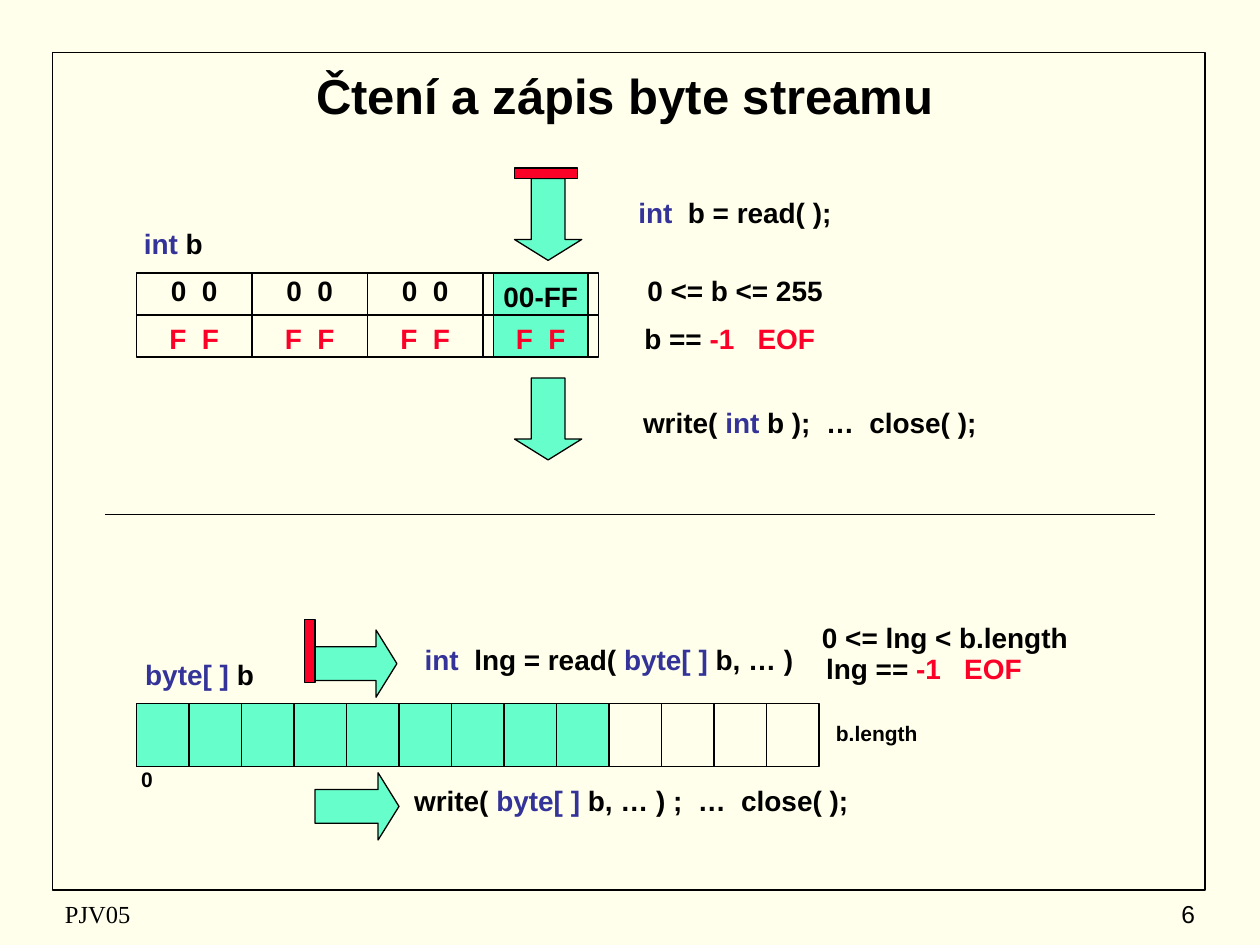
from pptx import Presentation
from pptx.dml.color import RGBColor
from pptx.enum.shapes import MSO_CONNECTOR, MSO_SHAPE
from pptx.enum.text import MSO_ANCHOR, MSO_AUTO_SIZE, PP_ALIGN
from pptx.oxml.ns import qn
from pptx.util import Inches, Pt

COLUMNS, ROWS = 120, 90
SLIDE_WIDTH, SLIDE_HEIGHT = Inches(10), Inches(7.5)

THEME = {
    "background": "FFFFEB",
    "ink": "000000",
    "keyword": "333399",
    "alert": "FC0128",
    "data": "66FFCC",
    "title": 28,
    "footer": 14,
    "code": 16,
    "small": 12,
    "line": 0.75,
    "frame": 1,
    "sans": "Arial",
    "serif": "Times New Roman",
}

FRAME = (5, 5, 109.8, 79.8)
DIVIDER = (10, 49, 110, 49)
REGISTER = {"left": 13, "top": 26, "cell": (11, 4), "count": 4, "rows": 2}
LOW_BYTE = {"left": 47, "width": 9}
ARRAY = {"left": 13, "top": 67, "cell": (5, 6), "count": 13, "filled": 9}

ARROWS = [
    ((49, 17, 6.4, 7.8), 0),
    ((49, 36, 6.4, 7.8), 0),
    ((30.7, 59.3, 6.4, 7.8), 270),
    ((30.8, 72.8, 6.4, 8), 270),
]
STREAM_ENDS = [(49, 16, 6, 1), (29, 59, 1, 6)]

BYTE_ROWS = [
    (25.5, "0  0", "ink", 3),
    (30, "F  F", "alert", 4),
]

CODE = [
    ((46, 26, 11), [("00-FF", "ink")]),
    ((12, 21, 9), [("int ", "keyword"), ("b", "ink")]),
    ((57, 25.5, 26), [("0 <= b <= 255", "ink")]),
    ((57, 30, 25), [("b == ", "ink"), ("-1   EOF", "alert")]),
    ((58, 18, 24), [("int ", "keyword"), (" b = read( );", "ink")]),
    ((58, 38, 39), [("write( ", "ink"), ("int ", "keyword"),
                    ("b );  …  close( ); ", "ink")]),
    ((11, 62, 16), [("byte[ ] ", "keyword"), ("b", "ink")]),
    ((39, 60.6, 38), [("int ", "keyword"), (" lng = read( ", "ink"),
                      ("byte[ ] ", "keyword"), ("b, … )", "ink")]),
    ((38, 74, 45), [("write( ", "ink"), ("byte[ ] ", "keyword"),
                    ("b, … ) ;  …  close( ); ", "ink")]),
    ((75, 58.5, 30), [("0 <= lng < b.length", "ink")]),
    ((76, 61.5, 24), [("lng == ", "ink"), ("-1   EOF", "alert")]),
]
INDEX_LABELS = [((12, 72.4, 4), "0"), ((76, 68, 15), "b.length")]

TITLE = ((6, 5, 107, 8), "Čtení a zápis byte streamu")
FOOTERS = [
    ((5, 85, 38, 4), "PJV05", "serif", PP_ALIGN.LEFT),
    ((90, 85, 25, 4), "6", "sans", PP_ALIGN.RIGHT),
]


def color(name):
    return RGBColor.from_string(THEME[name])


def place(box):
    units = (SLIDE_WIDTH / COLUMNS, SLIDE_HEIGHT / ROWS) * 2
    return [round(value * unit) for value, unit in zip(box, units)]


def apply(target, values):
    for name, value in values.items():
        setattr(target, name, value)


def add_shape(slide, kind, box, fill=None, weight="line"):
    shape = slide.shapes.add_shape(kind, *place(box))
    shape.shadow.inherit = False
    if fill:
        shape.fill.solid()
        shape.fill.fore_color.rgb = color(fill)
    else:
        shape.fill.background()
    shape.line.color.rgb = color("ink")
    shape.line.width = Pt(THEME[weight])
    return shape


def add_line(slide, *ends):
    line = slide.shapes.add_connector(MSO_CONNECTOR.STRAIGHT, *place(ends))
    properties = line._element.spPr
    line.line.color.rgb = color("ink")
    line.line.width = Pt(THEME["line"])
    properties.append(properties.makeelement(qn("a:effectLst"), {}))


def add_text(slide, box, runs, size="code", font="sans", bold=True,
             align=PP_ALIGN.CENTER, **frame_values):
    frame = slide.shapes.add_textbox(*place(box)).text_frame
    apply(frame, {"word_wrap": True, **frame_values})
    paragraph = frame.paragraphs[0]
    paragraph.alignment = align
    for text, tone in runs:
        run = paragraph.add_run()
        run.text = text
        apply(run.font, {"name": THEME[font], "size": Pt(THEME[size]), "bold": bold})
        run.font.color.rgb = color(tone)


def add_label(slide, box, runs, size="code"):
    height = 4.4 if size == "code" else 3.6
    add_text(slide, (*box, height), runs, size,
             auto_size=MSO_AUTO_SIZE.SHAPE_TO_FIT_TEXT)


def draw_register(slide):
    left, top = REGISTER["left"], REGISTER["top"]
    width, height = REGISTER["cell"]
    total_width = width * REGISTER["count"]
    total_height = height * REGISTER["rows"]
    for row in range(REGISTER["rows"]):
        add_shape(slide, MSO_SHAPE.RECTANGLE,
                  (LOW_BYTE["left"], top + row * height, LOW_BYTE["width"], height), "data")
    add_shape(slide, MSO_SHAPE.RECTANGLE, (left, top, total_width, total_height))
    for index in range(1, REGISTER["count"]):
        x = left + index * width
        add_line(slide, x, top, x, top + total_height)
    add_line(slide, left, top + height, left + total_width, top + height)
    for text_top, text, tone, count in BYTE_ROWS:
        for index in range(count):
            add_label(slide, (left + 1 + index * width, text_top, width - 2), [(text, tone)])


def draw_array(slide):
    left, top = ARRAY["left"], ARRAY["top"]
    width, height = ARRAY["cell"]
    for count, fill in ((ARRAY["filled"], "data"), (ARRAY["count"], None)):
        add_shape(slide, MSO_SHAPE.RECTANGLE, (left, top, count * width, height), fill)
    for index in range(1, ARRAY["count"]):
        x = left + index * width
        add_line(slide, x, top, x, top + height)


def main():
    presentation = Presentation()
    apply(presentation, {"slide_width": SLIDE_WIDTH, "slide_height": SLIDE_HEIGHT})
    slide = presentation.slides.add_slide(presentation.slide_layouts[6])
    slide.background.fill.solid()
    slide.background.fill.fore_color.rgb = color("background")

    add_shape(slide, MSO_SHAPE.RECTANGLE, FRAME, weight="frame")
    for box, text, font, align in FOOTERS:
        add_text(slide, box, [(text, "ink")], "footer", font, False, align,
                 vertical_anchor=MSO_ANCHOR.MIDDLE)
    box, text = TITLE
    add_text(slide, box, [(text, "ink")], "title", vertical_anchor=MSO_ANCHOR.MIDDLE)

    draw_register(slide)
    draw_array(slide)
    add_line(slide, *DIVIDER)
    for box, rotation in ARROWS:
        arrow = add_shape(slide, MSO_SHAPE.DOWN_ARROW, box, "data")
        arrow.adjustments[0] = 0.5
        arrow.adjustments[1] = 0.31
        arrow.rotation = rotation
    for box in STREAM_ENDS:
        add_shape(slide, MSO_SHAPE.RECTANGLE, box, "alert")
    for box, runs in CODE:
        add_label(slide, box, runs)
    for box, text in INDEX_LABELS:
        add_label(slide, box, [(text, "ink")], "small")

    presentation.save("out.pptx")


if __name__ == "__main__":
    main()
